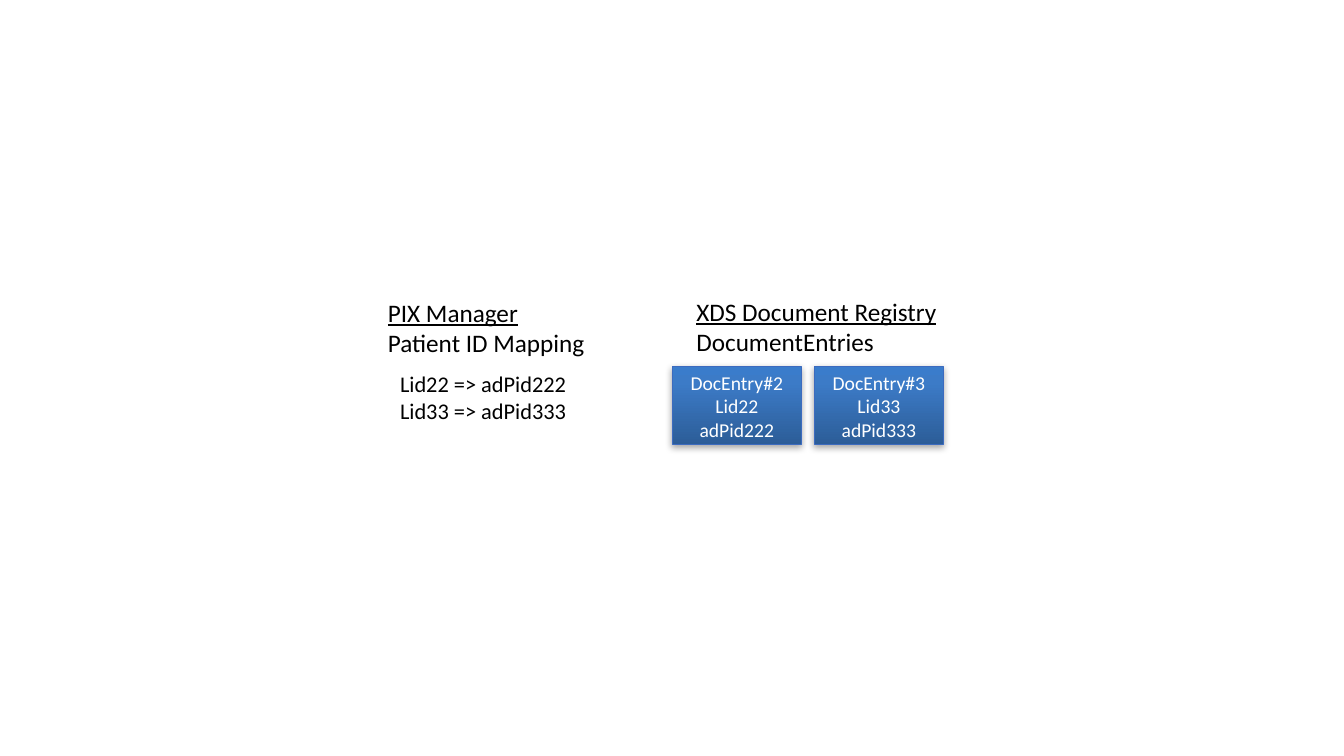
from lxml import etree
from pptx import Presentation
from pptx.dml.color import RGBColor
from pptx.enum.shapes import MSO_SHAPE
from pptx.enum.text import MSO_ANCHOR, MSO_AUTO_SIZE, PP_ALIGN
from pptx.oxml.ns import qn
from pptx.util import Pt

COLORS = {
    "text": "000000",
    "entry_text": "FFFFFF",
    "entry_line": "3C6BBF",
    "shadow": "000000",
    "gradient_bottom": "2C5D98",
    "gradient_middle": "3C7BC7",
    "gradient_top": "3A7CCB",
}
GRADIENT = [(0, "gradient_bottom"), (80, "gradient_middle"), (100, "gradient_top")]
ENTRY_LEFT, ENTRY_TOP, ENTRY_WIDTH, ENTRY_HEIGHT = 480.24, 262.08, 92.16, 55.44
ENTRY_PITCH = 101.52


def rgb(name):
    return RGBColor.from_string(COLORS[name])


def write_text(frame, lines, size, color="text", align=PP_ALIGN.LEFT, underline_first=False):
    for index, line in enumerate(lines):
        paragraph = frame.paragraphs[0] if index == 0 else frame.add_paragraph()
        paragraph.alignment = align
        run = paragraph.add_run()
        run.text = line
        run.font.name = "Calibri"
        run.font.size = Pt(size)
        run.font.color.rgb = rgb(color)
        run.font.underline = underline_first and index == 0


def add_label(slide, left, top, width, height, lines, size, wrap=True, **text_format):
    box = slide.shapes.add_textbox(Pt(left), Pt(top), Pt(width), Pt(height))
    frame = box.text_frame
    frame.word_wrap = wrap
    frame.auto_size = MSO_AUTO_SIZE.SHAPE_TO_FIT_TEXT
    write_text(frame, lines, size, **text_format)


def add_child(parent, tag, **attributes):
    values = {key: str(value) for key, value in attributes.items()}
    return etree.SubElement(parent, qn(tag), values)


def set_gradient(shape):
    """Fill with the three gradient stops, running from bottom to top."""
    shape.fill.gradient()
    shape.fill.gradient_angle = 90
    stops = shape.element.spPr.find(qn("a:gradFill")).find(qn("a:gsLst"))
    for stop in list(stops):
        stops.remove(stop)
    for percent, name in GRADIENT:
        stop = add_child(stops, "a:gs", pos=percent * 1000)
        add_child(stop, "a:srgbClr", val=COLORS[name])


def set_shadow(shape):
    shape.shadow.inherit = False
    effects = shape.element.spPr.find(qn("a:effectLst"))
    shadow = add_child(effects, "a:outerShdw", blurRad=Pt(5), dist=Pt(1.8),
                       dir=90 * 60000, rotWithShape=0)
    color = add_child(shadow, "a:srgbClr", val=COLORS["shadow"])
    add_child(color, "a:alpha", val=35000)


def add_entry(slide, left, lines):
    shape = slide.shapes.add_shape(MSO_SHAPE.RECTANGLE, Pt(left), Pt(ENTRY_TOP),
                                   Pt(ENTRY_WIDTH), Pt(ENTRY_HEIGHT))
    set_gradient(shape)
    shape.line.color.rgb = rgb("entry_line")
    shape.line.width = Pt(0.75)
    set_shadow(shape)
    frame = shape.text_frame
    frame.word_wrap = True
    frame.vertical_anchor = MSO_ANCHOR.MIDDLE
    write_text(frame, lines, 14, color="entry_text", align=PP_ALIGN.CENTER)


def main():
    presentation = Presentation()
    presentation.slide_width, presentation.slide_height = Pt(960), Pt(540)
    slide = presentation.slides.add_slide(presentation.slide_layouts[6])

    add_label(slide, 270, 208.8, 154.8, 51.12, ["PIX Manager", "Patient ID Mapping"], 18,
              wrap=False, underline_first=True)
    add_label(slide, 490.32, 208.08, 185.76, 51.12,
              ["XDS Document Registry", "DocumentEntries"], 18,
              wrap=False, underline_first=True)
    add_label(slide, 278.64, 260.64, 152.64, 46.08,
              ["Lid22 => adPid222", "Lid33 => adPid333"], 16)

    entries = [("DocEntry#2", "Lid22", "adPid222"), ("DocEntry#3", "Lid33", "adPid333")]
    for index, lines in enumerate(entries):
        add_entry(slide, ENTRY_LEFT + index * ENTRY_PITCH, lines)

    presentation.save("out.pptx")


if __name__ == "__main__":
    main()
